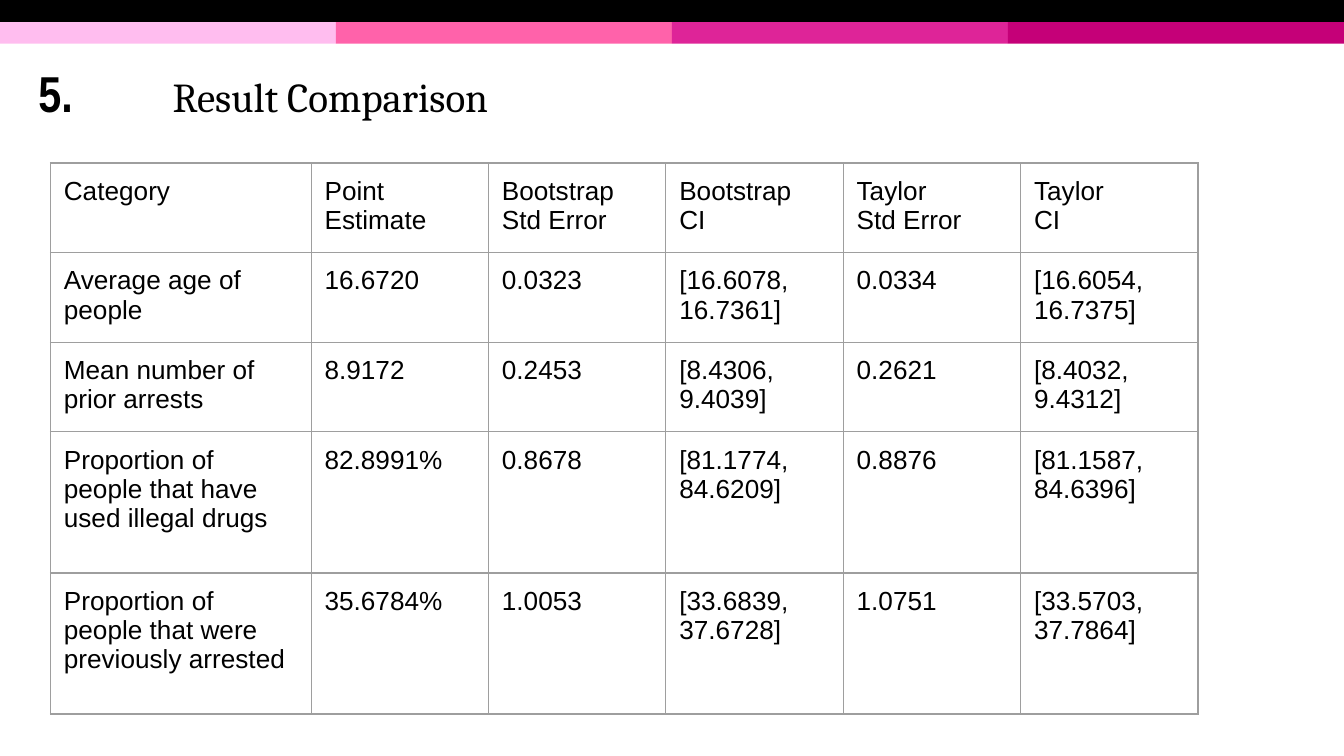
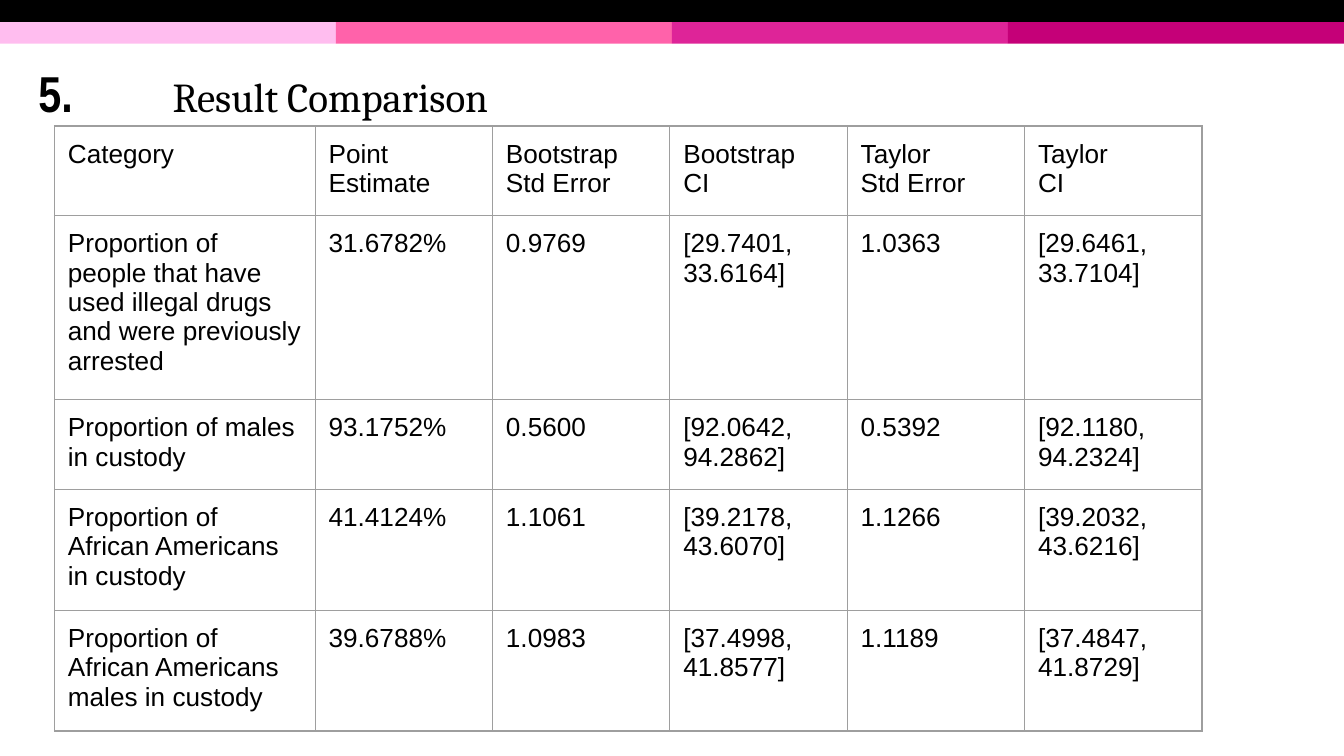
import dataclasses

import lxml.etree
import pptx
import pptx.dml.color
import pptx.enum.shapes
import pptx.enum.text
import pptx.oxml.ns
import pptx.util

COLUMNS, ROWS = 100, 50
TITLE_ONLY = 5


@dataclasses.dataclass(frozen=True)
class Theme:
    ink: str = "000000"
    border: str = "9E9E9E"
    bands: tuple = ("FFBDEF", "FF62AA", "DE2498", "C50078")
    number_font: str = "Arial Narrow"
    title_font: str = "Cambria"
    table_font: str = "Arial"
    number_size: float = 27
    title_size: float = 22
    table_size: float = 14
    border_width: float = 0.75


class Composer:
    """Draws on the current page; lengths are columns and rows of the grid."""

    def __init__(self, deck, theme):
        self.deck, self.theme = deck, theme
        self.layout = deck.slide_layouts[TITLE_ONLY]
        self.page = None

    def across(self, columns):
        return round(self.deck.slide_width * columns / COLUMNS)

    def down(self, rows):
        return round(self.deck.slide_height * rows / ROWS)

    def frame(self, left, top, width, height):
        return self.across(left), self.down(top), self.across(width), self.down(height)

    def new_page(self):
        self.page = self.deck.slides.add_slide(self.layout)

    def span(self, para, text, font, size, bold=False):
        span = para.add_run()
        span.text = text
        span.font.name = font
        span.font.size = pptx.util.Pt(size)
        span.font.bold = bold
        span.font.color.rgb = pptx.dml.color.RGBColor.from_string(self.theme.ink)

    def band(self, left, top, width, height, colour):
        box = self.page.shapes.add_shape(
            pptx.enum.shapes.MSO_SHAPE.RECTANGLE, *self.frame(left, top, width, height))
        box.shadow.inherit = False
        box.fill.solid()
        box.fill.fore_color.rgb = pptx.dml.color.RGBColor.from_string(colour)
        box.line.fill.background()
        return box

    def header_bands(self):
        """Draw the bands once and hand them to the layout that all pages share."""
        for holder in list(self.layout.placeholders):
            if holder.placeholder_format.type != pptx.enum.shapes.PP_PLACEHOLDER.TITLE:
                holder.element.getparent().remove(holder.element)
        height = 1.45
        width = COLUMNS / len(self.theme.bands)
        boxes = [self.band(index * width, height, width, height, colour)
                 for index, colour in enumerate(self.theme.bands)]
        boxes.append(self.band(0, 0, COLUMNS, height, self.theme.ink))
        for box in boxes:
            self.layout.shapes.element.append(box.element)

    def title(self, number, text):
        box = self.page.shapes.title
        box.left, box.top, box.width, box.height = self.frame(2.15, 3.2, 94.9, 6.5)
        body = box.text_frame
        body.word_wrap = True
        body.auto_size = pptx.enum.text.MSO_AUTO_SIZE.NONE
        body.vertical_anchor = pptx.enum.text.MSO_ANCHOR.MIDDLE
        body.margin_left = body.margin_right = pptx.util.Inches(0.07)
        body.margin_top = body.margin_bottom = pptx.util.Inches(0.04)
        para = body.paragraphs[0]
        qn = pptx.oxml.ns.qn
        stops = lxml.etree.SubElement(para._p.get_or_add_pPr(), qn("a:tabLst"))
        lxml.etree.SubElement(stops, qn("a:tab"), pos=str(self.across(10)), algn="l")
        para.alignment = pptx.enum.text.PP_ALIGN.LEFT
        para.line_spacing = 0.85
        self.span(para, f"{number}.\t", self.theme.number_font, self.theme.number_size, True)
        self.span(para, text, self.theme.title_font, self.theme.title_size)

    def cell_borders(self, cell):
        qn = pptx.oxml.ns.qn
        properties = cell._tc.get_or_add_tcPr()
        for side in ("lnL", "lnR", "lnT", "lnB"):
            line = lxml.etree.SubElement(properties, qn(f"a:{side}"),
                                         w=str(pptx.util.Pt(self.theme.border_width)))
            fill = lxml.etree.SubElement(line, qn("a:solidFill"))
            lxml.etree.SubElement(fill, qn("a:srgbClr"), val=self.theme.border)

    def cell(self, cell, text):
        cell.margin_left = cell.margin_right = pptx.util.Inches(0.1)
        cell.margin_top = cell.margin_bottom = pptx.util.Inches(0.1)
        self.cell_borders(cell)
        cell.fill.background()
        body = cell.text_frame
        for index, line in enumerate(text.split("\n")):
            para = body.add_paragraph() if index else body.paragraphs[0]
            self.span(para, line, self.theme.table_font, self.theme.table_size)

    def table(self, left, top, widths, heights, records):
        table = self.page.shapes.add_table(
            len(heights), len(widths),
            *self.frame(left, top, sum(widths), sum(heights))).table
        table.first_row = table.horz_banding = False
        for column, width in zip(table.columns, widths):
            column.width = self.across(width)
        for row, height, record in zip(table.rows, heights, records):
            row.height = self.down(height)
            for cell, text in zip(row.cells, record):
                self.cell(cell, text)


HEADINGS = ("Category", "Point Estimate", "Bootstrap\nStd Error", "Bootstrap\nCI",
            "Taylor\nStd Error", "Taylor\nCI")
WIDTHS = [19.4] + [13.2] * 5

# Each result page: table left and top, row heights, records.
RESULT_PAGES = (
    (3.75, 10.78, (5.93, 5.93, 5.93, 9.33, 9.33), (
        ("Average age of people", "16.6720", "0.0323", "[16.6078,\n16.7361]",
         "0.0334", "[16.6054,\n16.7375]"),
        ("Mean number of prior arrests", "8.9172", "0.2453", "[8.4306,\n9.4039]",
         "0.2621", "[8.4032,\n9.4312]"),
        ("Proportion of people that have used illegal drugs", "82.8991%", "0.8678",
         "[81.1774,\n84.6209]", "0.8876", "[81.1587,\n84.6396]"),
        ("Proportion of people that were previously arrested", "35.6784%", "1.0053",
         "[33.6839,\n37.6728]", "1.0751", "[33.5703,\n37.7864]"),
    )),
    (4.05, 8.33, (5.93, 12.17, 5.93, 8, 8), (
        ("Proportion of people that have used illegal drugs and were previously arrested",
         "31.6782%", "0.9769", "[29.7401,\n33.6164]", "1.0363", "[29.6461,\n33.7104]"),
        ("Proportion of males in custody", "93.1752%", "0.5600", "[92.0642,\n94.2862]",
         "0.5392", "[92.1180,\n94.2324]"),
        ("Proportion of African Americans in custody", "41.4124%", "1.1061",
         "[39.2178,\n43.6070]", "1.1266", "[39.2032,\n43.6216]"),
        ("Proportion of African Americans males in custody", "39.6788%", "1.0983",
         "[37.4998,\n41.8577]", "1.1189", "[37.4847,\n41.8729]"),
    )),
)


def main():
    deck = pptx.Presentation()
    deck.slide_width = pptx.util.Inches(10)
    deck.slide_height = deck.slide_width * 9 // 16
    composer = Composer(deck, Theme())
    for index, (left, top, heights, records) in enumerate(RESULT_PAGES):
        composer.new_page()
        if index == 0:
            composer.header_bands()
        composer.title(5, "Result Comparison")
        composer.table(left, top, WIDTHS, heights, (HEADINGS, *records))
    deck.save("out.pptx")


if __name__ == "__main__":
    main()
